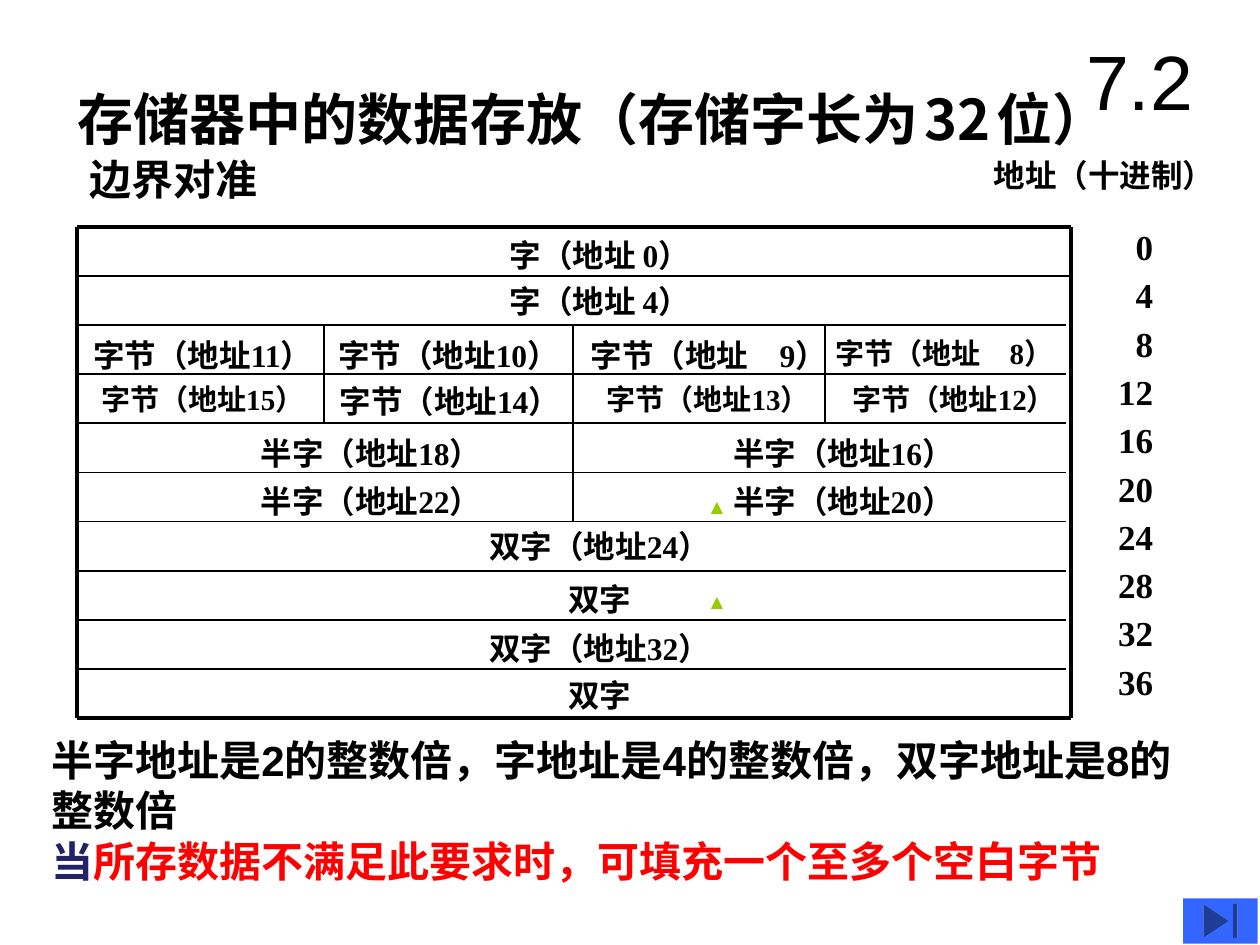
from dataclasses import dataclass

from lxml import etree
from pptx import Presentation
from pptx.dml.color import RGBColor
from pptx.enum.shapes import MSO_CONNECTOR, MSO_SHAPE
from pptx.enum.text import MSO_ANCHOR, PP_ALIGN
from pptx.oxml.ns import qn
from pptx.util import Inches, Pt

LEFT, CENTER, RIGHT = PP_ALIGN.LEFT, PP_ALIGN.CENTER, PP_ALIGN.RIGHT
TOP, MIDDLE = MSO_ANCHOR.TOP, MSO_ANCHOR.MIDDLE
STRAIGHT = MSO_CONNECTOR.STRAIGHT
END_BUTTON = MSO_SHAPE.ACTION_BUTTON_END


@dataclass(frozen=True)
class Theme:
    black: str = "000000"
    navy: str = "222268"
    red: str = "FF0000"
    green: str = "99CC00"
    blue: str = "3366FF"
    sans: str = "Arial"
    serif: str = "Times New Roman"
    chinese: str = "Noto Sans CJK SC"
    number: float = 44
    heading: float = 32
    gap: float = 14
    body: float = 24
    address: float = 20
    cell: float = 18
    small_cell: float = 16.6
    marker: float = 12
    thin: float = 1
    thick: float = 2.25


THEME = Theme()


@dataclass(frozen=True)
class Span:
    text: str
    size: float
    font: str = THEME.serif
    color: str = THEME.black
    bold: bool = True


@dataclass(frozen=True)
class Area:
    left: float
    top: float
    width: float
    height: float

    def lengths(self):
        return [Inches(v) for v in (self.left, self.top, self.width, self.height)]


@dataclass(frozen=True)
class Cell:
    text: str
    area: Area
    small: bool = False
    left_inset: float = 0.06


@dataclass(frozen=True)
class Rule:
    x1: float
    y1: float
    x2: float
    y2: float
    weight: float = THEME.thin


GRID_LEFT, GRID_TOP, GRID_RIGHT = 0.61, 1.8, 8.5
INNER_RIGHT = 8.46
ROW_HEIGHT, ROW_COUNT = 0.39, 10
CELL_HEIGHT = 0.37


def row_y(row: int) -> float:
    return GRID_TOP + row * ROW_HEIGHT


def wide(text: str, top: float) -> Cell:
    return Cell(text, Area(0.99, top, 7.5, CELL_HEIGHT))


def halves(top: float, *addresses: int) -> list[Cell]:
    """Two half-word cells, the higher address on the left."""
    columns = ((0.99, 3.87), (4.86, 3.63))
    return [Cell(f"半字（地址{address}）", Area(left, top, width, CELL_HEIGHT))
            for address, (left, width) in zip(addresses, columns)]


CELLS = [
    wide("字（地址 0）", 1.84),
    wide("字（地址 4）", 2.2),
    Cell("字节（地址11）", Area(0.61, 2.63, 1.96, CELL_HEIGHT)),
    Cell("字节（地址10）", Area(2.6, 2.63, 1.94, CELL_HEIGHT), left_inset=0),
    Cell("字节（地址　9）", Area(4.52, 2.63, 2.17, CELL_HEIGHT)),
    Cell("字节（地址　8）", Area(6.48, 2.63, 1.99, CELL_HEIGHT), True),
    Cell("字节（地址15）", Area(0.61, 3, 1.96, CELL_HEIGHT), True),
    Cell("字节（地址14）", Area(2.61, 3, 1.94, CELL_HEIGHT), left_inset=0),
    Cell("字节（地址13）", Area(4.63, 3, 1.94, CELL_HEIGHT), True),
    Cell("字节（地址12）", Area(6.62, 3, 1.87, CELL_HEIGHT), True),
    *halves(3.41, 18, 16),
    *halves(3.79, 22, 20),
    wide("双字（地址24）", 4.15),
    wide("双字", 4.57),
    wide("双字（地址32）", 4.96),
    wide("双字", 5.33),
]

RULES = [
    *(Rule(GRID_LEFT, row_y(row), INNER_RIGHT, row_y(row)) for row in range(2, ROW_COUNT)),
    Rule(GRID_LEFT, row_y(1), GRID_RIGHT, row_y(1)),
    *(Rule(GRID_LEFT, row_y(row), GRID_RIGHT, row_y(row), THEME.thick)
      for row in (0, ROW_COUNT)),
    *(Rule(x, row_y(0), x, row_y(ROW_COUNT), THEME.thick) for x in (GRID_LEFT, GRID_RIGHT)),
    *(Rule(x, row_y(2), x, row_y(last)) for x, last in ((2.57, 4), (4.55, 6), (6.55, 4))),
]


def write(frame, paragraphs: list[list[Span]], align=LEFT, spacing: float = 1.0) -> None:
    for index, spans in enumerate(paragraphs):
        para = frame.paragraphs[0] if index == 0 else frame.add_paragraph()
        para.alignment = align
        para.line_spacing = spacing
        for span in spans:
            run = para.add_run()
            run.text = span.text
            font = run.font
            font.size, font.bold, font.name = Pt(span.size), span.bold, span.font
            font.color.rgb = RGBColor.from_string(span.color)
            east_asian = etree.SubElement(run._r.get_or_add_rPr(), qn("a:ea"))
            east_asian.set("typeface", THEME.chinese)


def add_text(page, area: Area, paragraphs: list[list[Span]], align=LEFT,
             spacing: float = 1.0, wrap: bool = True):
    box = page.shapes.add_textbox(*area.lengths())
    box.text_frame.word_wrap = wrap
    box.text_frame.vertical_anchor = TOP
    write(box.text_frame, paragraphs, align, spacing)
    return box


def add_cell(page, cell: Cell) -> None:
    size = THEME.small_cell if cell.small else THEME.cell
    box = add_text(page, cell.area, [[Span(cell.text, size)]], CENTER,
                   0.9 if cell.small else 1.0)
    frame = box.text_frame
    frame.vertical_anchor = MIDDLE
    frame.margin_left, frame.margin_right = Inches(cell.left_inset), Inches(0.02)
    frame.margin_top = frame.margin_bottom = 0


def add_rule(page, rule: Rule) -> None:
    ends = [Inches(v) for v in (rule.x1, rule.y1, rule.x2, rule.y2)]
    line = page.shapes.add_connector(STRAIGHT, *ends)
    line.line.color.rgb = RGBColor.from_string(THEME.black)
    line.line.width = Pt(rule.weight)
    etree.SubElement(line._element.spPr, qn("a:effectLst"))


def add_end_button(page, area: Area) -> None:
    button = page.shapes.add_shape(END_BUTTON, *area.lengths())
    button.shadow.inherit = False
    button.fill.solid()
    button.fill.fore_color.rgb = RGBColor.from_string(THEME.blue)
    button.line.fill.background()


def main() -> None:
    deck = Presentation()
    deck.slide_width, deck.slide_height = Inches(10), Inches(7.5)
    page = deck.slides.add_slide(deck.slide_layouts[5])

    title = page.shapes.title
    title.left, title.top, title.width, title.height = Area(8.42, 0.17, 1.25, 0.92).lengths()
    title.text_frame.vertical_anchor = MIDDLE
    write(title.text_frame, [[Span("7.2", THEME.number, THEME.sans, bold=False)]], CENTER)

    heading = [("存储器中的数据存放（存储字长为", THEME.heading), (" ", THEME.gap),
               ("32", THEME.heading), (" ", THEME.gap), ("位）", THEME.heading)]
    add_text(page, Area(0.52, 0.62, 9.17, 0.64),
             [[Span(text, size, THEME.chinese) for text, size in heading]])
    add_text(page, Area(0.61, 1.17, 3.11, 0.5),
             [[Span("边界对准", THEME.body, THEME.chinese)]])
    add_text(page, Area(7.79, 1.19, 1.95, 0.4),
             [[Span("地址（十进制）", THEME.cell)]], wrap=False)
    add_text(page, Area(8.77, 1.69, 0.48, 3.94),
             [[Span(str(4 * row), THEME.address)] for row in range(ROW_COUNT)],
             RIGHT, 1.15, wrap=False)

    for cell in CELLS:
        add_cell(page, cell)
    for rule in RULES:
        add_rule(page, rule)
    for top in (3.87, 4.62):
        add_text(page, Area(5.51, top, 0.75, 0.3),
                 [[Span("▲", THEME.marker, THEME.sans, THEME.green)]])

    add_end_button(page, Area(9.39, 7.13, 0.59, 0.36))
    add_text(page, Area(0.31, 5.78, 9.37, 1.3), [
        [Span("半字地址是2的整数倍，字地址是4的整数倍，双字地址是8的整数倍",
              THEME.body, THEME.sans)],
        [Span("当", THEME.body, THEME.chinese, THEME.navy),
         Span("所存数据不满足此要求时，可填充一个至多个空白字节",
              THEME.body, THEME.chinese, THEME.red)],
    ])
    deck.save("out.pptx")


if __name__ == "__main__":
    main()
